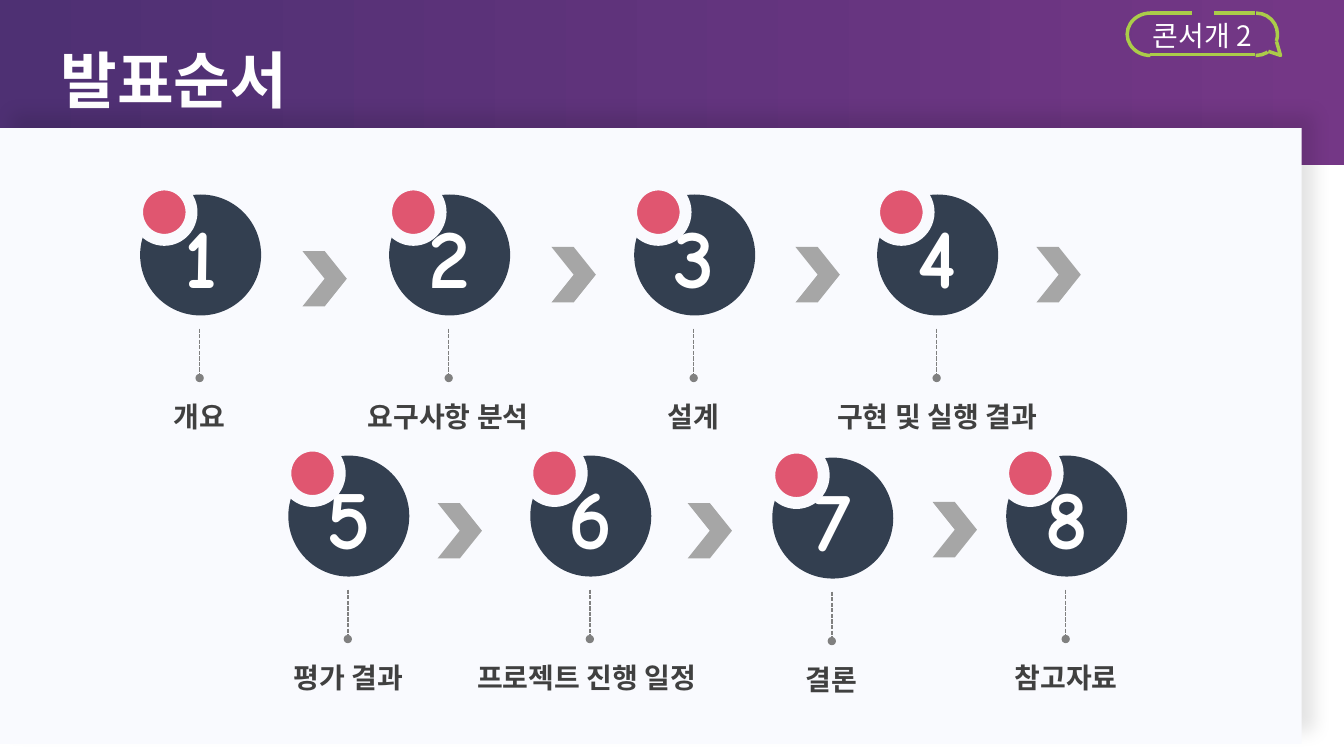
"""Build the presentation agenda slide: eight numbered steps in two rows."""
from dataclasses import dataclass
from typing import Optional

from lxml.etree import SubElement
from pptx import Presentation
from pptx.dml.color import RGBColor
from pptx.enum.dml import MSO_LINE
from pptx.enum.shapes import MSO_CONNECTOR, MSO_SHAPE
from pptx.enum.text import MSO_ANCHOR, MSO_AUTO_SIZE, PP_ALIGN
from pptx.oxml.ns import qn
from pptx.util import Inches, Pt


@dataclass(frozen=True)
class Theme:
    """Fonts, type sizes and colours of the slide."""
    text_font: str = "Noto Sans CJK KR"
    number_font: str = "Comic Neue"
    title_size: int = 44
    number_size: int = 60
    label_size: int = 20
    banner_start: str = "4E3073"
    banner_end: str = "743786"
    panel: str = "F9FAFE"
    badge: str = "ABCC49"
    circle: str = "333F50"
    dot: str = "E05670"
    chevron: str = "A6A6A6"
    label: str = "404040"
    stem: str = "808080"
    white: str = "FFFFFF"


@dataclass(frozen=True)
class Step:
    """One agenda step with its place and the chevron that follows it."""
    label: str
    left: float
    top: float
    label_left: float
    label_width: float = 2.03
    chevron: Optional[tuple] = None


THEME = Theme()
STEPS = [
    Step("개요", 1.39, 1.93, 0.96, chevron=(3, 2.49)),
    Step("요구사항 분석", 3.86, 1.93, 3.43, chevron=(5.47, 2.45)),
    Step("설계", 6.29, 1.93, 5.86, chevron=(7.89, 2.45)),
    Step("구현 및 실행 결과", 8.7, 1.93, 7.98, 2.63, (10.28, 2.45)),
    Step("평가 결과", 2.86, 4.52, 2.44, chevron=(4.34, 4.99)),
    Step("프로젝트 진행 일정", 5.26, 4.52, 4.42, 2.8, (6.82, 4.99)),
    Step("결론", 7.66, 4.54, 7.23, chevron=(9.25, 4.98)),
    Step("참고자료", 9.98, 4.52, 9.56),
]


def rgb(code):
    """Return a colour from its hex code."""
    return RGBColor.from_string(code)


def place(left, top, width, height):
    """Return the four measures as lengths."""
    return [Inches(value) for value in (left, top, width, height)]


def write(box, text, size, color, font, bold=True, align=PP_ALIGN.CENTER, spacing=None):
    """Write one formatted paragraph into a box and return it."""
    para = box.text_frame.paragraphs[0]
    para.alignment = align
    if spacing:
        para.line_spacing = spacing
    span = para.add_run()
    span.text = text
    span.font.size = Pt(size)
    span.font.bold = bold
    span.font.color.rgb = rgb(color)
    span.font.name = font
    SubElement(span.font._element, qn("a:ea"), typeface=font)
    return para


def add_shape(shapes, kind, position, fill=None, line=None, width=1.0):
    """Add a preset shape without a shadow."""
    shape = shapes.add_shape(kind, *place(*position))
    shape.shadow.inherit = False
    style_shape(shape, fill, line, width)
    return shape


def style_shape(shape, fill, line, width):
    """Set the fill and outline of a shape, or clear them."""
    if fill:
        shape.fill.solid()
        shape.fill.fore_color.rgb = rgb(fill)
    else:
        shape.fill.background()
    if line:
        shape.line.color.rgb = rgb(line)
        shape.line.width = Pt(width)
    else:
        shape.line.fill.background()


def add_line(shapes, start, end, color, width):
    """Add a straight connector without a shadow."""
    points = [Inches(value) for value in (*start, *end)]
    line = shapes.add_connector(MSO_CONNECTOR.STRAIGHT, *points)
    line.line.color.rgb = rgb(color)
    line.line.width = Pt(width)
    SubElement(line._element.spPr, qn("a:effectLst"))
    return line


def add_text(shapes, position, text, color, **options):
    """Add a wrapped text box that grows with its text."""
    box = shapes.add_textbox(*place(*position))
    box.text_frame.word_wrap = True
    box.text_frame.auto_size = MSO_AUTO_SIZE.SHAPE_TO_FIT_TEXT
    write(box, text, THEME.label_size, color, THEME.text_font, **options)


def add_title(page, text):
    """Turn the title placeholder into the gradient banner."""
    title = page.shapes.title
    title.left, title.top, title.width, title.height = place(0, 0, 13.33, 1.64)
    title.fill.gradient()
    title.fill.gradient_angle = 0
    for stop, color in zip(title.fill.gradient_stops, (THEME.banner_start, THEME.banner_end)):
        stop.color.rgb = rgb(color)
    title.text_frame.vertical_anchor = MSO_ANCHOR.TOP
    title.text_frame.auto_size = MSO_AUTO_SIZE.NONE
    para = write(title, text, THEME.title_size, THEME.white, THEME.text_font,
                 align=PP_ALIGN.LEFT, spacing=1.5)
    properties = para._p.get_or_add_pPr()
    properties.set("marL", str(Inches(0.5)))
    properties.set("indent", "0")


def add_panel(page):
    """Add the light content panel with its soft shadow."""
    panel = add_shape(page.shapes, MSO_SHAPE.RECTANGLE, (0, 1.27, 12.91, 6.11), THEME.panel)
    effects = panel._element.spPr.find(qn("a:effectLst"))
    shadow = SubElement(effects, qn("a:outerShdw"), blurRad=str(Pt(13)), dist=str(Pt(13)),
                        dir=str(315 * 60000), algn="bl", rotWithShape="0")
    color = SubElement(shadow, qn("a:srgbClr"), val="000000")
    SubElement(color, qn("a:alpha"), val="11000")


def add_badge(page, text):
    """Add the speech bubble outline and its text."""
    shapes = page.shapes.add_group_shape().shapes
    outline = {"line": THEME.badge, "width": 2.5}
    bracket = add_shape(shapes, MSO_SHAPE.LEFT_BRACKET, (11.18, 0.13, 0.23, 0.42), **outline)
    bracket.adjustments[0] = 0.92
    for angles in ((97.02, 162.08), (52.96, 73.55)):
        arc = add_shape(shapes, MSO_SHAPE.ARC, (12.25, 0.13, 0.42, 0.42), **outline)
        arc.adjustments[0], arc.adjustments[1] = angles
        arc._element.spPr.get_or_add_xfrm().set("flipH", "1")
    for left, right, height in ((11.41, 12.45, 0.54), (11.41, 11.82, 0.13), (12.04, 12.45, 0.13)):
        add_line(shapes, (left, height), (right, height), THEME.badge, 2.5)
    builder = shapes.build_freeform(Inches(12.66), Inches(0.41))
    builder.add_line_segments([(Inches(12.7), Inches(0.55)), (Inches(12.58), Inches(0.51))],
                              close=False)
    tail = builder.convert_to_shape()
    tail.shadow.inherit = False
    style_shape(tail, None, THEME.badge, 2.5)
    add_text(page.shapes, (11.3, 0.13, 1.25, 0.44), text, THEME.white, bold=False)


def add_step(page, number, step):
    """Add a numbered circle with its dot, chevron, label and stem."""
    shapes = page.shapes
    circle = add_shape(shapes, MSO_SHAPE.OVAL, (step.left, step.top, 1.2, 1.2), THEME.circle)
    circle.text_frame.vertical_anchor = MSO_ANCHOR.MIDDLE
    write(circle, str(number), THEME.number_size, THEME.white, THEME.number_font)
    add_shape(shapes, MSO_SHAPE.OVAL, (step.left - 0.03, step.top - 0.1, 0.54, 0.55),
              THEME.dot, THEME.panel, 8.5)
    if step.chevron:
        add_shape(shapes, MSO_SHAPE.CHEVRON, (*step.chevron, 0.44, 0.55), THEME.chevron)
    stem_left, stem_end = step.left + 0.59, step.top + 1.82
    add_text(shapes, (step.label_left, stem_end, step.label_width, 0.56), step.label,
             THEME.label, spacing=1.5)
    stem = add_line(shapes, (stem_left, step.top + 1.33), (stem_left, stem_end), THEME.stem, 1)
    stem.line.dash_style = MSO_LINE.SQUARE_DOT
    SubElement(stem.line._get_or_add_ln(), qn("a:tailEnd"), type="oval")


def main():
    """Build and save the deck."""
    deck = Presentation()
    deck.slide_width, deck.slide_height = Inches(13.33), Inches(7.5)
    page = deck.slides.add_slide(deck.slide_layouts[5])
    add_title(page, "발표순서")
    add_panel(page)
    add_badge(page, "콘서개 2")
    for number, step in enumerate(STEPS, 1):
        add_step(page, number, step)
    deck.save("out.pptx")


if __name__ == "__main__":
    main()
